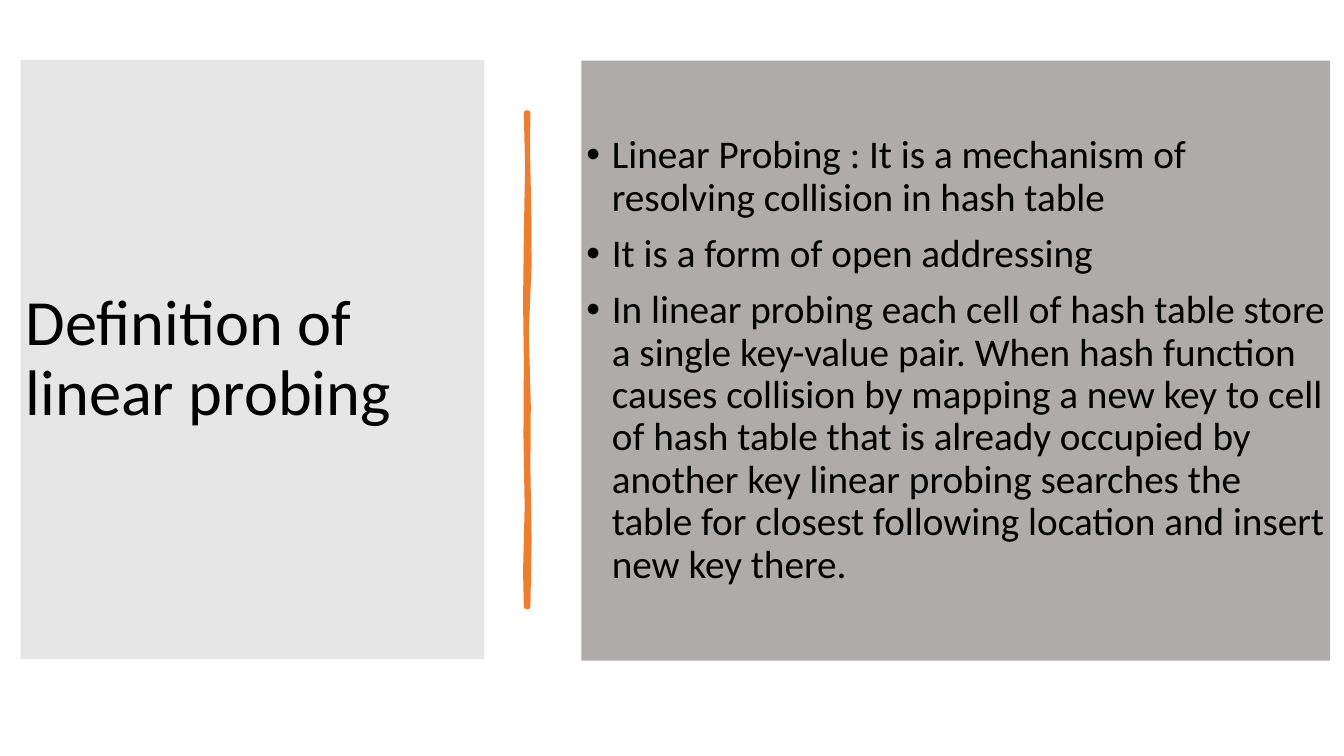
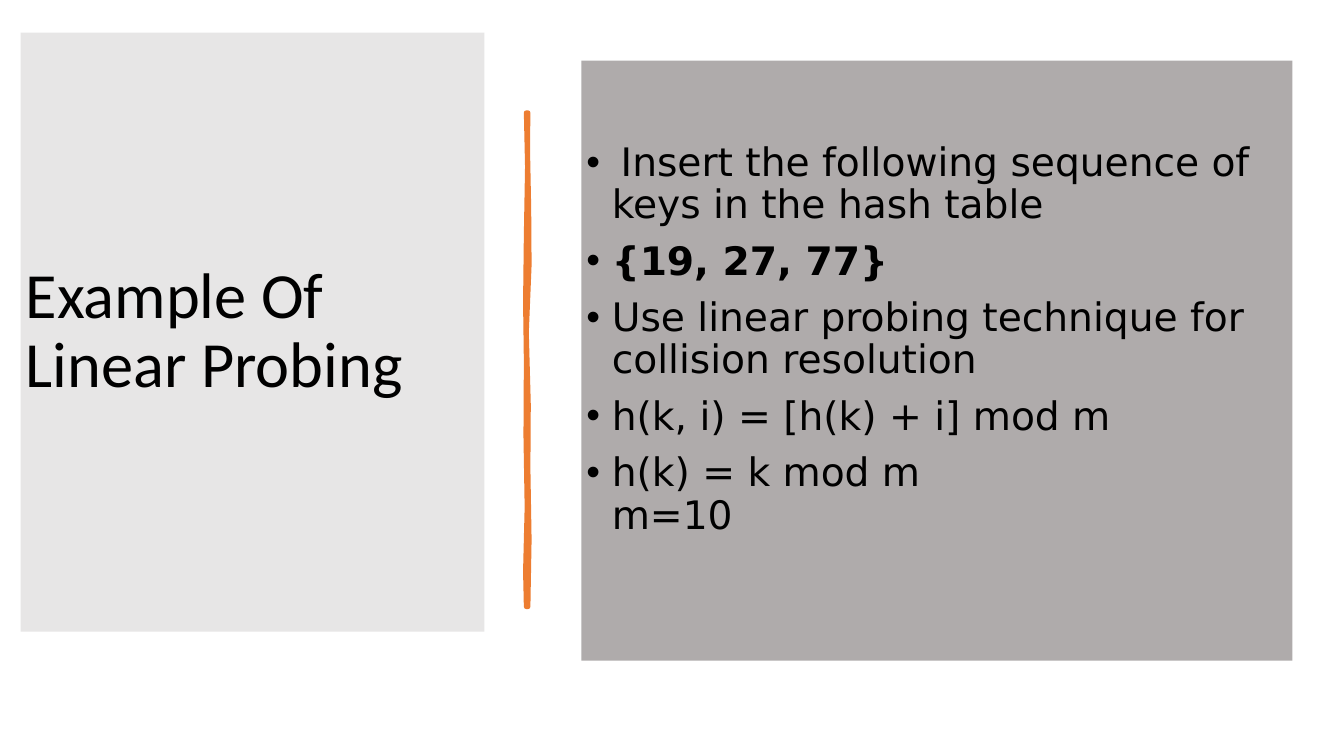
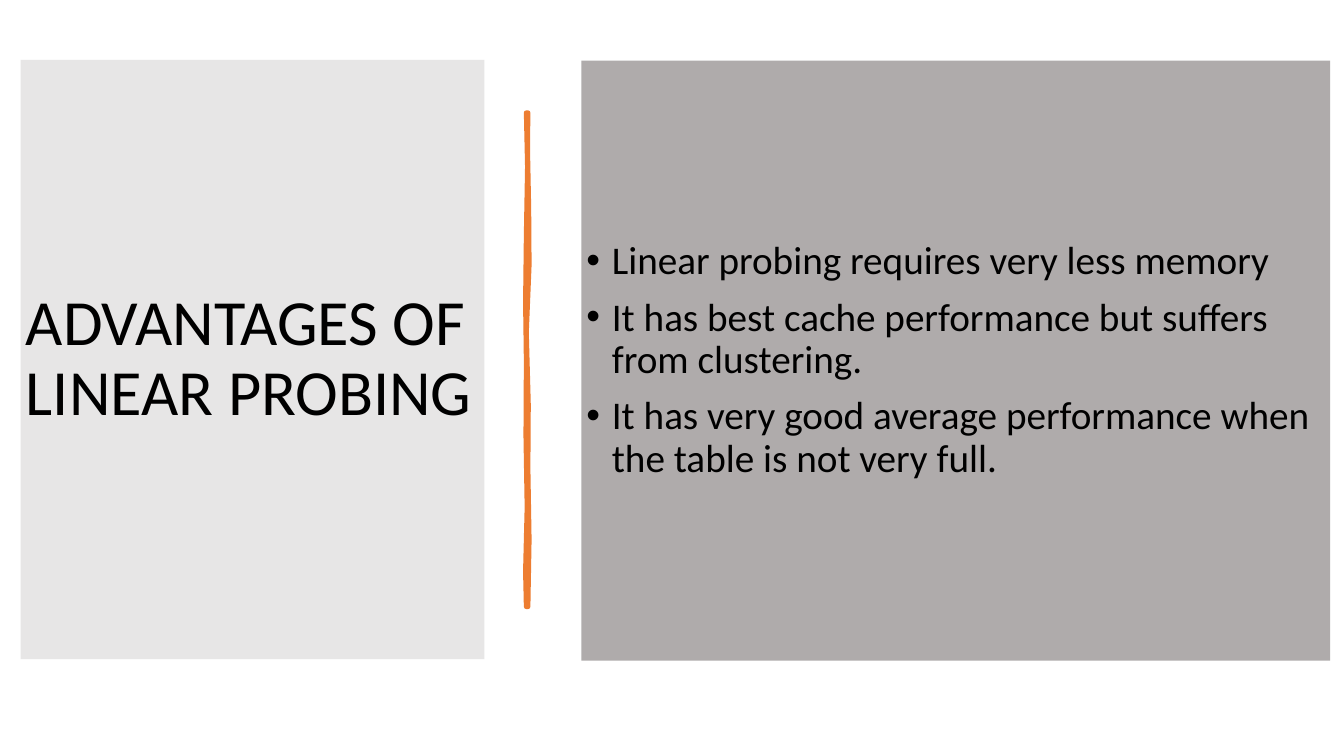
import pptx
import pptx.util
import pptx.dml.color
import pptx.enum.text

Cm, Pt = pptx.util.Cm, pptx.util.Pt
MSO_ANCHOR = pptx.enum.text.MSO_ANCHOR
PP_ALIGN = pptx.enum.text.PP_ALIGN

# Shared style
TITLE_FILL, BODY_FILL, ACCENT, INK = "E7E6E6", "AFABAB", "ED7D31", "000000"
FONT, CODE_FONT = "Calibri", "DejaVu Sans"
INSET = 0.13
FRAME = {"word_wrap": True, "auto_size": pptx.enum.text.MSO_AUTO_SIZE.NONE,
         "vertical_anchor": MSO_ANCHOR.MIDDLE}
FRAME.update({f"margin_{side}": Cm(INSET) for side in ("left", "top", "right", "bottom")})
TITLE_PARA = {"alignment": PP_ALIGN.LEFT, "line_spacing": 0.9, "space_before": Pt(0)}
BODY_PARA = {"alignment": PP_ALIGN.LEFT, "line_spacing": 0.9, "space_before": Pt(10)}
TITLE_FONT = {"name": FONT, "size": Pt(46), "bold": False}
BODY_FONT = {"name": FONT, "size": Pt(28), "bold": False}
CODE = {"name": CODE_FONT}

# Brush stroke: (x, y) corners in cm, down the right edge and up the left one
FILLED_STROKE = [
    (13.31, 2.84), (13.3, 3.68), (13.33, 5.25), (13.34, 6.93), (13.29, 8.79),
    (13.3, 10.44), (13.33, 12.24), (13.3, 14.45), (13.31, 15.29), (13.26, 15.29),
    (13.25, 14.5), (13.28, 12.83), (13.26, 11.1), (13.29, 9.3), (13.25, 7.5),
    (13.29, 5.54), (13.26, 2.84)]
OUTLINED_STROKE = [
    (13.31, 2.84), (13.3, 3.74), (13.33, 5.25), (13.34, 6.68), (13.27, 8.38),
    (13.32, 10.2), (13.31, 11.8), (13.34, 13.6), (13.31, 15.29), (13.26, 15.29),
    (13.24, 14.4), (13.28, 12.78), (13.25, 10.97), (13.26, 9.1), (13.24, 7.62),
    (13.26, 5.92), (13.29, 4.2), (13.26, 2.84)]


def rgb(hex_color):
    return pptx.dml.color.RGBColor.from_string(hex_color)


def set_all(obj, values):
    for name, value in values.items():
        setattr(obj, name, value)


class Deck:
    def __init__(self):
        self.prs = pptx.Presentation()
        self.prs.slide_width, self.prs.slide_height = Cm(33.87), Cm(19.05)
        self.s = None

    def new_slide(self):
        self.s = self.prs.slides.add_slide(self.prs.slide_layouts[1])

    def panel(self, sp, box, fill):
        set_all(sp, dict(zip(("left", "top", "width", "height"), map(Cm, box))))
        sp.fill.solid()
        sp.fill.fore_color.rgb = rgb(fill)
        set_all(sp.text_frame, FRAME)
        return sp.text_frame

    def run(self, p, text, font):
        r = p.add_run()
        r.text = text
        set_all(r.font, font)
        r.font.color.rgb = rgb(INK)

    def title(self, text, top):
        tf = self.panel(self.s.shapes.title, (0.52, top, 11.69, 15.1), TITLE_FILL)
        p = tf.paragraphs[0]
        set_all(p, TITLE_PARA)
        self.run(p, text, TITLE_FONT)

    def bullets(self, items, width, bottom=INSET):
        """Each item is a list of (text, font changes); a None text breaks the line."""
        tf = self.panel(self.s.placeholders[1], (14.65, 1.53, width, 15.12), BODY_FILL)
        tf.margin_bottom = Cm(bottom)
        for i, runs in enumerate(items):
            p = tf.add_paragraph() if i else tf.paragraphs[0]
            set_all(p, BODY_PARA)
            pPr = p._p.get_or_add_pPr()
            pPr.set("marL", str(Cm(0.64)))
            pPr.set("indent", str(-Cm(0.64)))
            for text, changes in runs:
                if text is None:
                    p.add_line_break()
                else:
                    self.run(p, text, {**BODY_FONT, **changes})

    def outline(self, group, corners):
        start, *rest = [(Cm(x), Cm(y)) for x, y in corners]
        builder = group.shapes.build_freeform(*start)
        builder.add_line_segments(rest, close=True)
        sp = builder.convert_to_shape()
        sp.shadow.inherit = False
        return sp

    def brush_stroke(self):
        group = self.s.shapes.add_group_shape()
        sp = self.outline(group, FILLED_STROKE)
        sp.fill.solid()
        sp.fill.fore_color.rgb = rgb(ACCENT)
        sp.line.fill.background()
        sp = self.outline(group, OUTLINED_STROKE)
        sp.fill.background()
        sp.line.color.rgb = rgb(ACCENT)
        sp.line.width = Pt(3.25)


# Slide content: title, title top, body width, body bottom inset, bullets
SLIDES = [
    ("Definition of linear probing", 1.51, 18.87, INSET, [
        [("Linear Probing : It is a mechanism of resolving collision in hash table", {})],
        [("It is a form of open addressing", {})],
        [("In linear probing each cell of hash table store a single key-value pair. "
          "When hash function causes collision by mapping a new key to cell of hash "
          "table that is already occupied by another key linear probing searches the "
          "table for closest following location and insert new key there. ", {})]]),
    ("Example Of Linear Probing ", 0.82, 17.92, 1.17, [
        [(" ", {}), ("Insert the following sequence of keys in the hash table", CODE)],
        [("{19, 27, 77}", {**CODE, "bold": True})],
        [("Use linear probing technique for collision resolution", CODE)],
        [("h(k, i) = [h(k) + i] mod m", CODE)],
        [("h(k) = k mod m", CODE), (None, {}), ("m=10", CODE)]]),
    ("ADVANTAGES OF LINEAR PROBING", 1.51, 18.87, INSET, [
        [("Linear probing requires very less memory", {})],
        [("It has best cache performance but suffers from clustering.", {})],
        [("It has very good average performance when the table is not very full.", {})]]),
]

# Build
deck = Deck()
for title, top, width, bottom, items in SLIDES:
    deck.new_slide()
    deck.title(title, top)
    deck.brush_stroke()
    deck.bullets(items, width, bottom)
deck.prs.save("out.pptx")
